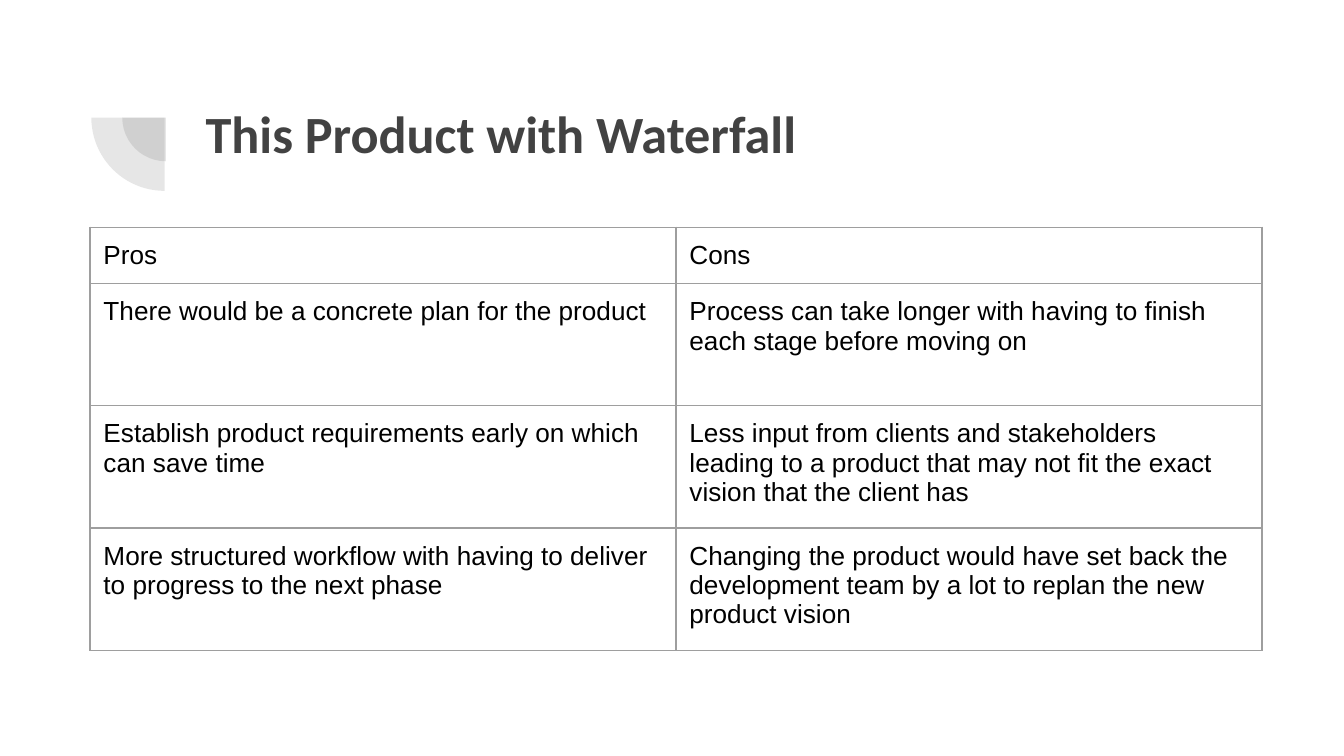
import dataclasses

import lxml.etree
import pptx
import pptx.dml.color
import pptx.enum.shapes
import pptx.enum.text
import pptx.oxml
import pptx.oxml.ns
import pptx.slide
import pptx.table
import pptx.util
from pptx.util import Inches

COLORS = {"heading": "424242", "text": "000000", "border": "9E9E9E"}
MARGIN = Inches(0.1)


@dataclasses.dataclass
class QuarterPie:
    left: float
    top: float
    size: float


@dataclasses.dataclass
class Comparison:
    pro: str
    con: str
    height: float


PIES = [QuarterPie(0.91, 0.55, 0.65), QuarterPie(0.68, 0.33, 1.09)]
COMPARISONS = [
    Comparison("Pros", "Cons", 0.41),
    Comparison(
        "There would be a concrete plan for the product",
        "Process can take longer with having to finish each stage before moving on",
        0.91,
    ),
    Comparison(
        "Establish product requirements early on which can save time",
        "Less input from clients and stakeholders leading to a product "
        "that may not fit the exact vision that the client has",
        0.91,
    ),
    Comparison(
        "More structured workflow with having to deliver to progress to the next phase",
        "Changing the product would have set back the development team "
        "by a lot to replan the new product vision",
        0.91,
    ),
]


def rgb(name: str) -> pptx.dml.color.RGBColor:
    return pptx.dml.color.RGBColor.from_string(COLORS[name])


def draw_pie(page: pptx.slide.Slide, pie: QuarterPie) -> None:
    shape = page.shapes.add_shape(
        pptx.enum.shapes.MSO_SHAPE.PIE,
        Inches(pie.left), Inches(pie.top), Inches(pie.size), Inches(pie.size),
    )
    shape.adjustments[0] = 108
    shape.adjustments[1] = 162
    shape.rotation = 270
    shape.shadow.inherit = False
    shape.line.fill.background()
    shape.fill.solid()
    shape.fill.fore_color.rgb = rgb("heading")
    color = shape.fill._xPr.find(".//" + pptx.oxml.ns.qn("a:srgbClr"))
    lxml.etree.SubElement(color, pptx.oxml.ns.qn("a:alpha"), val="13000")


def format_title(page: pptx.slide.Slide, text: str) -> None:
    title = page.shapes.title
    title.left, title.top = Inches(1.43), Inches(0.65)
    title.width, title.height = Inches(7.69), Inches(1.09)
    frame = title.text_frame
    frame.text = text
    frame.word_wrap = True
    frame.auto_size = pptx.enum.text.MSO_AUTO_SIZE.NONE
    frame.vertical_anchor = pptx.enum.text.MSO_ANCHOR.TOP
    frame.margin_left = frame.margin_right = MARGIN
    frame.margin_top = frame.margin_bottom = MARGIN
    para = frame.paragraphs[0]
    para.alignment = pptx.enum.text.PP_ALIGN.LEFT
    para.font.name = "Calibri"
    para.font.size = pptx.util.Pt(28)
    para.font.bold = True
    para.font.color.rgb = rgb("heading")


def add_borders(cell: pptx.table._Cell) -> None:
    properties = cell._tc.get_or_add_tcPr()
    for index, side in enumerate(("lnL", "lnR", "lnT", "lnB")):
        border = pptx.oxml.parse_xml(
            f'<a:{side} {pptx.oxml.ns.nsdecls("a")} w="{pptx.util.Pt(0.75)}">'
            f'<a:solidFill><a:srgbClr val="{COLORS["border"]}"/></a:solidFill>'
            f"</a:{side}>"
        )
        properties.insert(index, border)


def fill_cell(cell: pptx.table._Cell, text: str) -> None:
    cell.text = text
    cell.margin_left = cell.margin_right = MARGIN
    cell.margin_top = cell.margin_bottom = MARGIN
    cell.fill.background()
    para = cell.text_frame.paragraphs[0]
    para.font.name = "Arial"
    para.font.size = pptx.util.Pt(14)
    para.font.bold = False
    para.font.color.rgb = rgb("text")
    add_borders(cell)


def draw_table(page: pptx.slide.Slide, comparisons: list[Comparison]) -> None:
    height = sum(comparison.height for comparison in comparisons)
    table = page.shapes.add_table(
        len(comparisons), 2, Inches(0.67), Inches(1.69), Inches(8.72), Inches(height)
    ).table
    table.first_row = False
    table.horz_banding = False
    for row, comparison in zip(table.rows, comparisons):
        row.height = Inches(comparison.height)
        for cell, text in zip(row.cells, (comparison.pro, comparison.con)):
            fill_cell(cell, text)


def main() -> None:
    deck = pptx.Presentation()
    deck.slide_width = Inches(10)
    deck.slide_height = deck.slide_width * 9 // 16
    page = deck.slides.add_slide(deck.slide_layouts.get_by_name("Title Only"))
    for pie in PIES:
        draw_pie(page, pie)
    format_title(page, "This Product with Waterfall")
    draw_table(page, COMPARISONS)
    deck.save("out.pptx")


if __name__ == "__main__":
    main()
